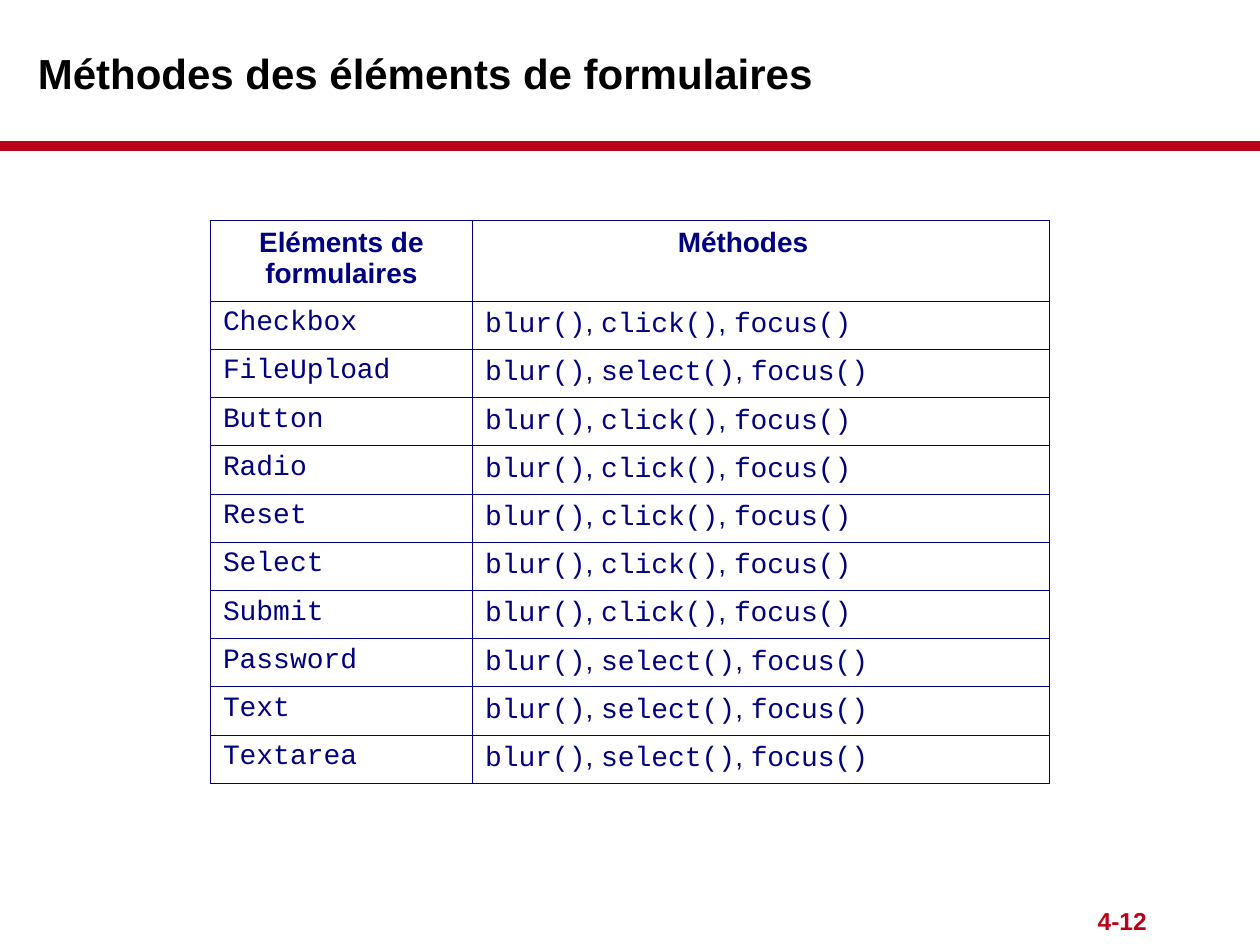
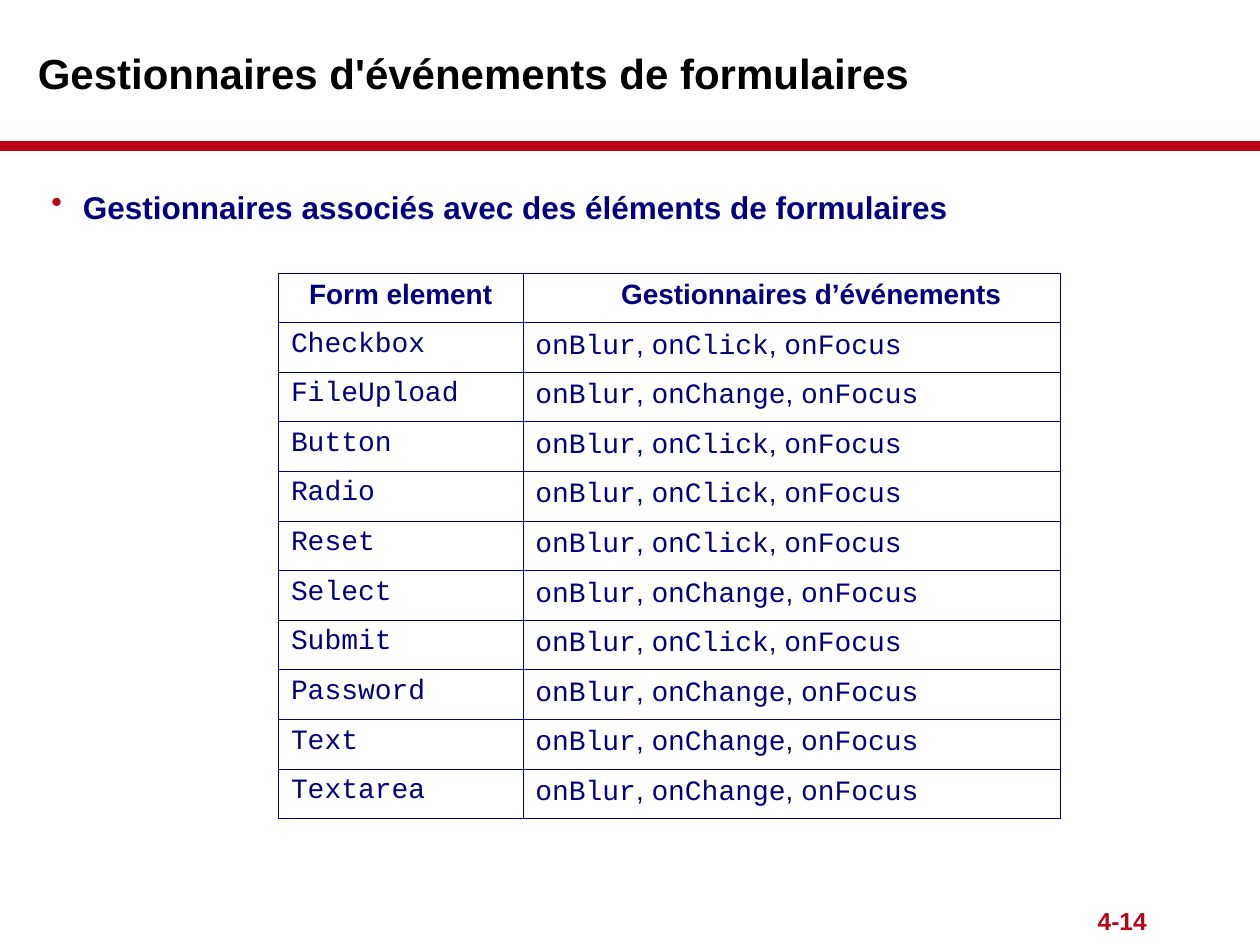
from lxml import etree
from pptx import Presentation
from pptx.dml.color import RGBColor
from pptx.enum.shapes import MSO_CONNECTOR
from pptx.enum.text import MSO_ANCHOR, MSO_AUTO_SIZE, PP_ALIGN
from pptx.oxml.ns import qn
from pptx.util import Inches, Pt

RED = RGBColor(0xB9, 0x01, 0x17)
NAVY = RGBColor(0x00, 0x00, 0x80)
BLACK = RGBColor(0x00, 0x00, 0x00)
SANS, MONO = "Arial", "Courier New"

SLIDE_W, SLIDE_H = 10, 7.5
BAND_Y = 1.16
TITLE_BOX = (0.2, 0.18, 8.52, 0.79)
BULLET_BOX = (0.31, 1.44, 9.4, 0.4)
NUMBER_BOX = (7.62, 7.14, 1.58, 0.34)
CELL_PAD = 0.1

ELEMENTS = ["Checkbox", "FileUpload", "Button", "Radio", "Reset",
            "Select", "Submit", "Password", "Text", "Textarea"]
TEXT_FIELDS = {"FileUpload", "Password", "Text", "Textarea"}

SLIDES = [
    dict(title="Méthodes des éléments de formulaires", number="4-12", bullet=None,
         headers=["Eléments de\nformulaires", "Méthodes"], header_indent=1.53,
         usual=["blur()", "click()", "focus()"],
         special=["blur()", "select()", "focus()"], special_for=TEXT_FIELDS,
         at=(1.67, 1.75), cols=(2.08, 4.58), header_h=0.64, row_h=0.383),
    dict(title="Gestionnaires d'événements de formulaires", number="4-14",
         bullet="Gestionnaires associés avec des éléments de formulaires",
         headers=["Form element", "Gestionnaires d’événements"], header_indent=0.68,
         usual=["onBlur", "onClick", "onFocus"],
         special=["onBlur", "onChange", "onFocus"],
         special_for=TEXT_FIELDS | {"Select"},
         at=(2.21, 2.17), cols=(1.94, 4.27), header_h=0.39, row_h=0.394),
]


def inches(values):
    return [Inches(v) for v in values]


def add_run(p, text, size, color=NAVY, font=SANS, bold=True):
    r = p.add_run()
    r.text = text
    r.font.name, r.font.size, r.font.bold = font, Pt(size), bold
    r.font.color.rgb = color
    return r


def add_text_box(slide, box):
    tf = slide.shapes.add_textbox(*inches(box)).text_frame
    tf.word_wrap = True
    return tf.paragraphs[0]


def add_title(slide, text):
    sp = slide.shapes.title
    sp.left, sp.top, sp.width, sp.height = inches(TITLE_BOX)
    tf = sp.text_frame
    tf.word_wrap, tf.auto_size = True, MSO_AUTO_SIZE.NONE
    tf.vertical_anchor = MSO_ANCHOR.MIDDLE
    p = tf.paragraphs[0]
    p.alignment = PP_ALIGN.LEFT
    r = add_run(p, text, 24, BLACK)
    effects = etree.Element(qn("a:effectLst"))
    shadow = etree.SubElement(effects, qn("a:outerShdw"),
                              dist=str(Pt(1.5)), dir="2700000")
    etree.SubElement(shadow, qn("a:srgbClr"), val=str(BLACK))
    r.font.fill  # the colour comes before the effects
    r._r.rPr.find(qn("a:solidFill")).addnext(effects)


def add_band(slide):
    line = slide.shapes.add_connector(
        MSO_CONNECTOR.STRAIGHT, *inches((0, BAND_Y, SLIDE_W, BAND_Y)))
    line.line.color.rgb, line.line.width = RED, Pt(6)
    etree.SubElement(line._element.spPr, qn("a:effectLst"))


def add_page_number(slide, number):
    p = add_text_box(slide, NUMBER_BOX)
    p.alignment = PP_ALIGN.RIGHT
    add_run(p, number, 14, RED)


def add_bullet(slide, text):
    p = add_text_box(slide, BULLET_BOX)
    pPr = p._p.get_or_add_pPr()
    pPr.set("marL", str(Inches(0.25)))
    pPr.set("indent", str(-Inches(0.25)))
    color = etree.SubElement(pPr, qn("a:buClr"))
    etree.SubElement(color, qn("a:srgbClr"), val=str(RED))
    etree.SubElement(pPr, qn("a:buChar"), char="•")
    add_run(p, text, 18)


def format_cell(cell):
    """Draw the four borders, then clear the fill."""
    tcPr = cell._tc.get_or_add_tcPr()
    for side in ("lnL", "lnR", "lnT", "lnB"):
        ln = etree.SubElement(tcPr, qn(f"a:{side}"), w=str(Pt(0.45)))
        fill = etree.SubElement(ln, qn("a:solidFill"))
        etree.SubElement(fill, qn("a:srgbClr"), val=str(NAVY))
    cell.fill.background()
    cell.margin_left = cell.margin_right = Inches(CELL_PAD)
    cell.margin_top = cell.margin_bottom = Inches(0.05)


def add_code_list(cell, names):
    p = cell.text_frame.paragraphs[0]
    for i, name in enumerate(names):
        if i:
            add_run(p, ", ", 16, bold=False)
        add_run(p, name, 16, font=MONO, bold=False)


def add_header(cell, text):
    p = cell.text_frame.paragraphs[0]
    for i, part in enumerate(text.split("\n")):
        if i:
            p.add_line_break()
        add_run(p, part, 16)
    return p


def add_element_table(slide, data):
    heights = [data["header_h"]] + [data["row_h"]] * len(ELEMENTS)
    size = (sum(data["cols"]), sum(heights))
    table = slide.shapes.add_table(len(heights), len(data["cols"]),
                                   *inches(data["at"] + size)).table
    table.first_row = table.horz_banding = False
    for column, width in zip(table.columns, data["cols"]):
        column.width = Inches(width)
    for row, height in zip(table.rows, heights):
        row.height = Inches(height)
    for cell in table.iter_cells():
        format_cell(cell)

    left, right = table.rows[0].cells
    add_header(left, data["headers"][0]).alignment = PP_ALIGN.CENTER
    add_header(right, data["headers"][1])
    right.margin_left = Inches(CELL_PAD + data["header_indent"])
    for i, element in enumerate(ELEMENTS, start=1):
        kind = "special" if element in data["special_for"] else "usual"
        add_code_list(table.cell(i, 0), [element])
        add_code_list(table.cell(i, 1), data[kind])


def main():
    prs = Presentation()
    prs.slide_width, prs.slide_height = inches((SLIDE_W, SLIDE_H))
    title_only = prs.slide_layouts[5]
    for data in SLIDES:
        slide = prs.slides.add_slide(title_only)
        add_page_number(slide, data["number"])
        add_band(slide)
        add_title(slide, data["title"])
        if data["bullet"]:
            add_bullet(slide, data["bullet"])
        add_element_table(slide, data)
    prs.save("out.pptx")


if __name__ == "__main__":
    main()
